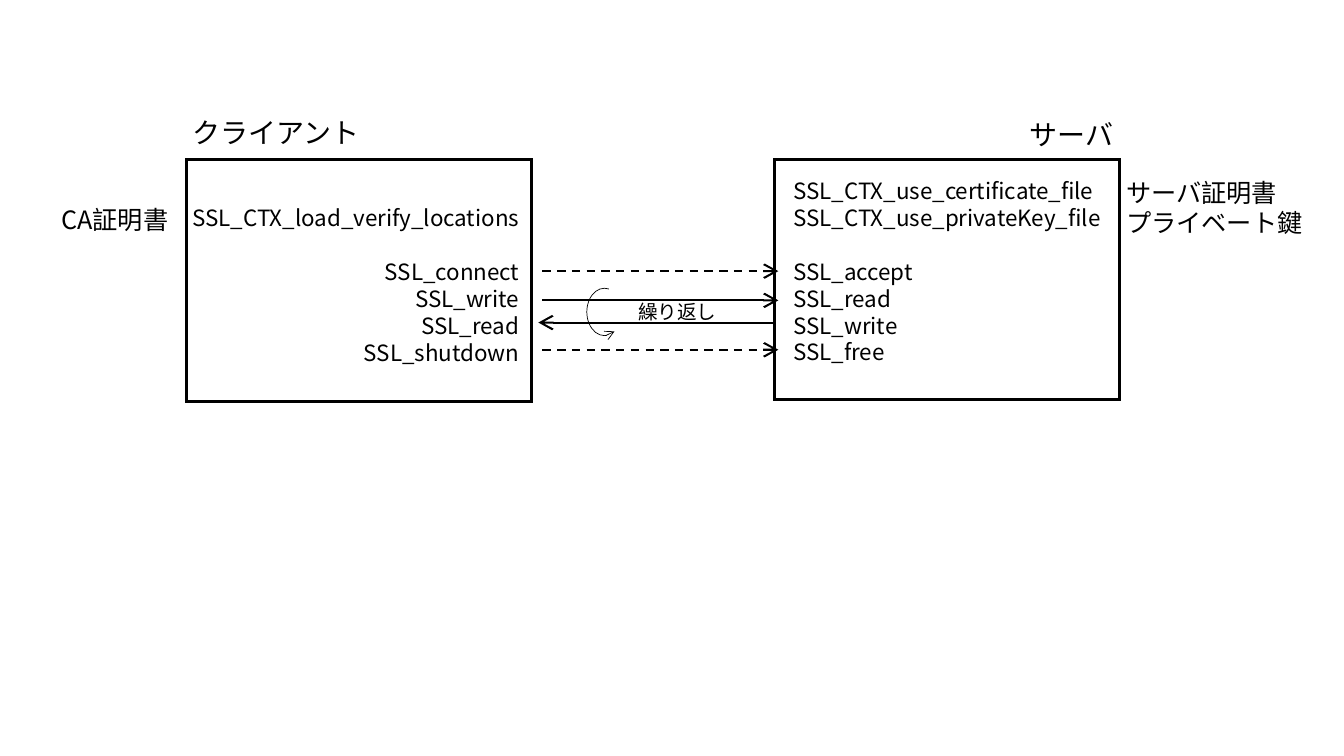
from lxml import etree
from pptx import Presentation
from pptx import util as u
from pptx.dml.color import RGBColor
from pptx.enum import dml, shapes, text
from pptx.oxml.ns import qn

PX = 9144  # EMU per px, 100 px to the inch
FONT = "Noto Sans CJK JP"
COLORS = {"ink": "000000"}
LEADING = 1.2
LEFT, RIGHT = text.PP_ALIGN.LEFT, text.PP_ALIGN.RIGHT


def emu(*lengths):
    return [u.Emu(length * PX) for length in lengths]


def ink():
    return RGBColor.from_string(COLORS["ink"])


def set_line(shape, width):
    shape.line.color.rgb = ink()
    shape.line.width = u.Pt(width)


def add_line_part(shape, tag, **attributes):
    """Appends an XML part, such as an arrowhead, to the shape's line."""
    etree.SubElement(shape.line._get_or_add_ln(), qn(tag), **attributes)


def add_label(page, box, lines, size, align=LEFT, wrap=False, gap_before=None):
    """Adds one paragraph a line, with a line's gap above line number gap_before."""
    frame = page.shapes.add_textbox(*emu(*box)).text_frame
    frame.word_wrap = wrap
    frame.text = "\n".join(lines)
    for number, para in enumerate(frame.paragraphs):
        para.alignment = align
        para.line_spacing = u.Pt(size * LEADING)
        if number == gap_before:
            para.space_before = u.Pt(size * LEADING)
        para.font.size = u.Pt(size)
        para.font.color.rgb = ink()
        para.font.name = FONT
        etree.SubElement(para.font._rPr, qn("a:ea"), typeface=FONT)


def add_frame(page, box):
    frame = page.shapes.add_shape(shapes.MSO_SHAPE.RECTANGLE, *emu(*box))
    frame.shadow.inherit = False
    frame.fill.background()
    set_line(frame, 2.25)
    add_line_part(frame, "a:miter", lim="800000")


def add_client(page, box):
    left, top, width, height = box
    add_frame(page, box)
    calls = ["SSL_CTX_load_verify_locations", "SSL_connect", "SSL_write",
             "SSL_read", "SSL_shutdown"]
    add_label(page, (left - 14, top + 40, 354, 172), calls, 16, RIGHT, gap_before=1)
    add_label(page, (left - 134, top + 40, 129, 40), ["CA証明書"], 18, wrap=True)
    add_label(page, (left - 4, top - 48, 188, 44), ["クライアント"], 20)


def add_server(page, box):
    left, top, width, height = box
    add_frame(page, box)
    calls = ["SSL_CTX_use_certificate_file", "SSL_CTX_use_privateKey_file",
             "SSL_accept", "SSL_read", "SSL_write", "SSL_free"]
    add_label(page, (left + 9, top + 13, 339, 199), calls, 16, gap_before=2)
    add_label(page, (left + width - 3, top + 13, 197, 71),
              ["サーバ証明書", "プライベート鍵"], 18)
    add_label(page, (left + width - 99, top - 46, 104, 44), ["サーバ"], 20)


def add_message(page, start, end, y, dashed):
    arrow = page.shapes.add_connector(
        shapes.MSO_CONNECTOR.STRAIGHT, *emu(start, y, end, y))
    etree.SubElement(arrow._element.spPr, qn("a:effectLst"))
    set_line(arrow, 1.5)
    if dashed:
        arrow.line.dash_style = dml.MSO_LINE.DASH
    add_line_part(arrow, "a:tailEnd", type="arrow", w="lg", len="lg")


def add_repeat_loop(page, box):
    loop = page.shapes.add_shape(shapes.MSO_SHAPE.ARC, *emu(*box))
    loop.shadow.inherit = False
    loop.fill.background()
    loop.adjustments[0], loop.adjustments[1] = 155.57, 70.39
    loop._element.spPr.xfrm.set("flipH", "1")
    set_line(loop, 0.5)
    add_line_part(loop, "a:tailEnd", type="arrow")


def add_exchange(page, box):
    """Draws the messages that pass between client and server."""
    left, top, width, height = box
    right = left + width
    add_message(page, left, right, top, True)
    add_message(page, left, right, top + 29, False)
    add_message(page, right - 4, left - 4, top + 51, False)
    add_message(page, left, right, top + height, True)
    add_repeat_loop(page, (left + 44, top + 17, 35, 47))
    add_label(page, (left + 85, top + 24, 99, 34), ["繰り返し"], 14)


def main():
    deck = Presentation()
    deck.slide_width, deck.slide_height = emu(1333, 750)
    page = deck.slides.add_slide(deck.slide_layouts[6])
    add_client(page, (185, 158, 342, 240))
    add_server(page, (768, 158, 342, 238))
    add_exchange(page, (538, 269, 234, 78))
    deck.save("out.pptx")


if __name__ == "__main__":
    main()
